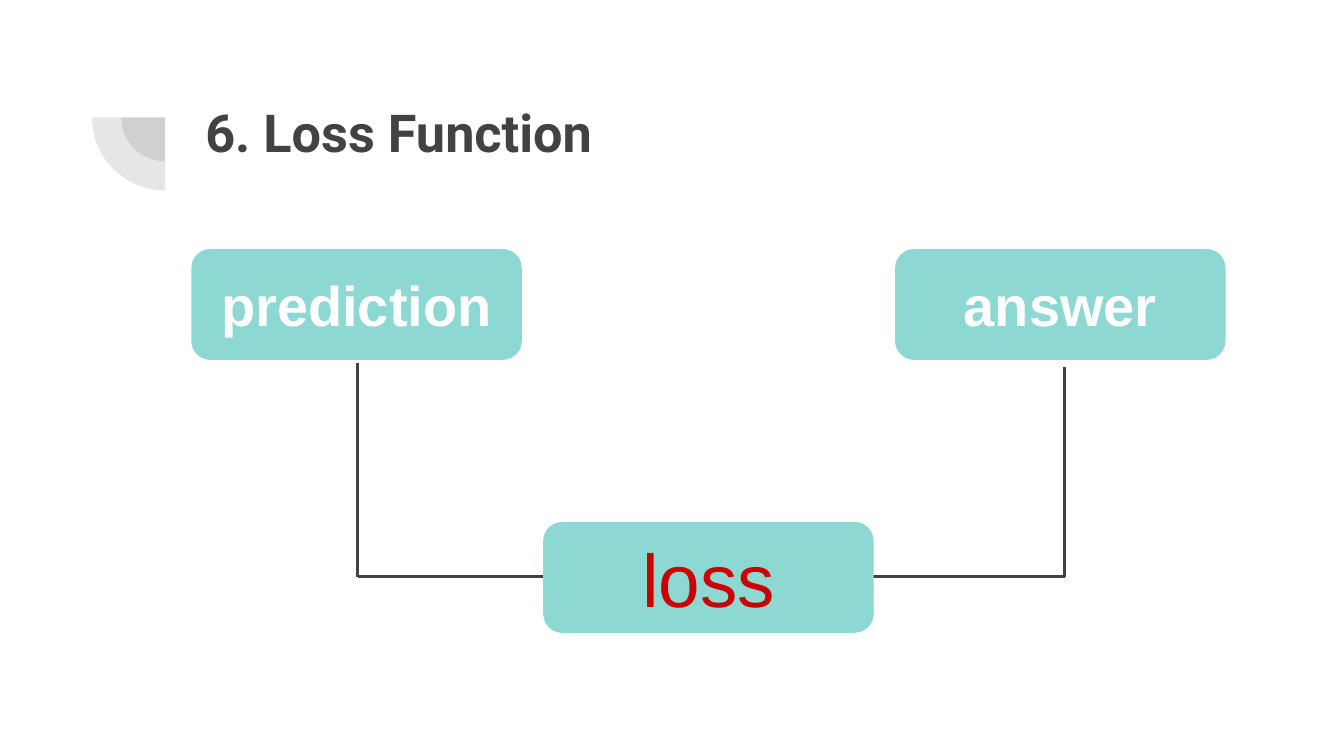
from lxml import etree
from pptx import Presentation
from pptx import util as u
from pptx.dml.color import RGBColor
from pptx.enum import shapes, text
from pptx.oxml.ns import qn

COLORS = {"ink": "424242", "teal": "8DD8D3", "white": "FFFFFF", "red": "CC0000"}

TITLE_FONT = {"name": "Roboto", "size": u.Pt(28), "bold": True}
LABEL_FONT = {"name": "Arial", "size": u.Pt(30), "bold": True}
LOSS_FONT = {"name": "Arial", "size": u.Pt(40), "bold": False}

# Box grid in centimetres: three columns, two rows
BOX_WIDTH, BOX_HEIGHT = 6.22, 2.07
BOX_LEFT, COLUMN_STEP = 3.63, 6.65
INPUT_TOP, LOSS_TOP = 4.72, 9.88


def rgb(color):
    return RGBColor.from_string(COLORS[color])


def write(shape, words, font, color, **frame_format):
    frame = shape.text_frame
    margins = dict.fromkeys(
        ("margin_left", "margin_top", "margin_right", "margin_bottom"), u.Cm(0.25))
    for name, value in {"word_wrap": True, **margins, **frame_format}.items():
        setattr(frame, name, value)
    para = frame.paragraphs[0]
    span = para.add_run()
    span.text = words
    for name, value in font.items():
        setattr(span.font, name, value)
    span.font.color.rgb = rgb(color)
    return para


def add_quarter(page, center_x, center_y, radius):
    """Draw the translucent lower-left quarter of a disc."""
    quarter = page.shapes.add_shape(
        shapes.MSO_SHAPE.PIE, u.Cm(center_x - radius), u.Cm(center_y - radius),
        u.Cm(2 * radius), u.Cm(2 * radius))
    quarter.adjustments[0], quarter.adjustments[1] = 54, 108
    quarter.shadow.inherit = False
    quarter.line.fill.background()
    quarter.fill.solid()
    quarter.fill.fore_color.rgb = rgb("ink")
    color = quarter.fill._xPr.find(qn("a:solidFill"))[0]
    etree.SubElement(color, qn("a:alpha"), val="13000")


def add_title(page, words):
    box = page.shapes.add_textbox(u.Cm(3.63), u.Cm(1.65), u.Cm(19.53), u.Cm(2.77))
    write(box, words, TITLE_FONT, "ink")


def add_box(page, column, top, words, font, color):
    box = page.shapes.add_shape(
        shapes.MSO_SHAPE.ROUNDED_RECTANGLE, u.Cm(BOX_LEFT + column * COLUMN_STEP),
        u.Cm(top), u.Cm(BOX_WIDTH), u.Cm(BOX_HEIGHT))
    box.shadow.inherit = False
    box.fill.solid()
    box.fill.fore_color.rgb = rgb("teal")
    box.line.color.rgb = rgb("teal")
    box.line.width = u.Pt(0.75)
    para = write(box, words, font, color, vertical_anchor=text.MSO_ANCHOR.MIDDLE)
    para.alignment = text.PP_ALIGN.CENTER


def add_line(page, *ends):
    line = page.shapes.add_connector(
        shapes.MSO_CONNECTOR.STRAIGHT, *(u.Cm(end) for end in ends))
    line.line.color.rgb = rgb("ink")
    line.line.width = u.Pt(1.5)
    etree.SubElement(line._element.spPr, qn("a:effectLst"))


def main():
    deck = Presentation()
    deck.slide_width, deck.slide_height = u.Cm(25.4), u.Cm(14.29)
    page = deck.slides.add_slide(deck.slide_layouts[6])

    # Heading with its corner ornament
    for radius in (0.83, 1.38):
        add_quarter(page, 3.12, 2.22, radius)
    add_title(page, "6. Loss Function")

    # Inputs of the loss
    add_box(page, 0, INPUT_TOP, "prediction", LABEL_FONT, "white")
    add_box(page, 2, INPUT_TOP, "answer", LABEL_FONT, "white")

    # Bracket that runs behind the loss box
    left, right, bottom = 6.76, 20.12, 10.9
    add_line(page, left, 6.86, left, bottom)
    add_line(page, right, 6.93, right, bottom)
    add_line(page, left, bottom, right, bottom)

    # Result
    add_box(page, 1, LOSS_TOP, "loss", LOSS_FONT, "red")

    deck.save("out.pptx")


if __name__ == "__main__":
    main()
